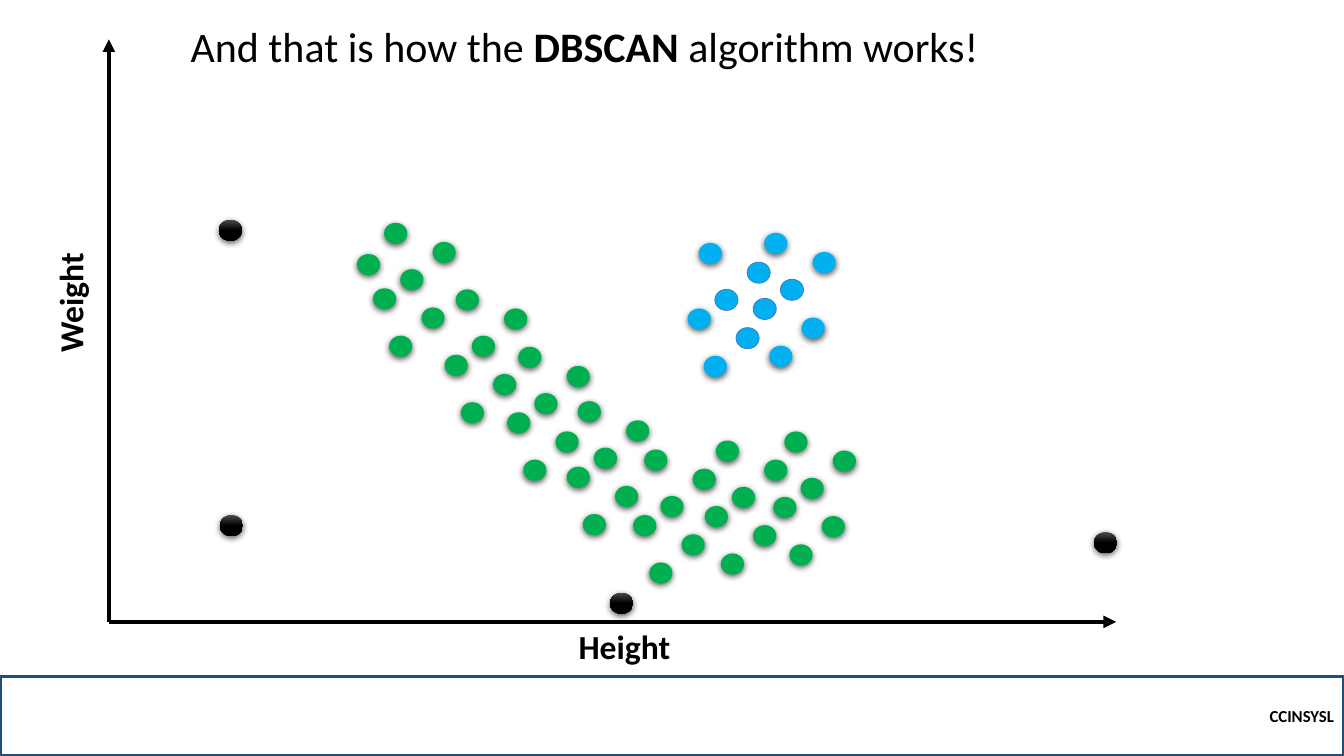
from lxml import etree
from pptx import Presentation
from pptx.dml.color import RGBColor
from pptx.enum.shapes import MSO_CONNECTOR, MSO_SHAPE
from pptx.enum.text import MSO_ANCHOR, MSO_AUTO_SIZE, PP_ALIGN
from pptx.oxml.ns import qn
from pptx.util import Emu, Pt

PX = 9144
LEFT, RIGHT = PP_ALIGN.LEFT, PP_ALIGN.RIGHT
TOP, MIDDLE = MSO_ANCHOR.TOP, MSO_ANCHOR.MIDDLE
FIT_TEXT = MSO_AUTO_SIZE.SHAPE_TO_FIT_TEXT
RECTANGLE, ELLIPSE = MSO_SHAPE.RECTANGLE, MSO_SHAPE.OVAL
STRAIGHT = MSO_CONNECTOR.STRAIGHT

BLACK = RGBColor(0x00, 0x00, 0x00)
GREY = RGBColor(0x4B, 0x4B, 0x4B)
GREEN = RGBColor(0x00, 0xB0, 0x50)
SKY = RGBColor(0x00, 0xB0, 0xF0)
OUTLINE = RGBColor(0x44, 0x72, 0xC4)
NAVY = RGBColor(0x1F, 0x4E, 0x79)

ORIGIN = (108, 617)
PATCH = [(0, 0), (16, 46), (48, 19), (-11, 65), (5, 112), (37, 84)]
GREEN_PATCHES = [(381, 221), (452, 287), (514, 344), (573, 398),
                 (639, 446), (710, 437), (778, 428)]
SKY_PATCHES = [(693, 241, {1, 2, 5}), (758, 231, {1, 3})]
NOISE = [(217, 218), (218, 511), (1085, 528), (605, 588)]


class ScatterSlide:
    """Holds the slide and draws its elements in one style, in px."""

    font = "Calibri"
    dot_size = (23, 21)

    def __init__(self, presentation):
        self.slide = presentation.slides.add_slide(presentation.slide_layouts[5])

    def scale(self, *lengths):
        return [Emu(length * PX) for length in lengths]

    def format_run(self, run, size, bold):
        run.font.name = self.font
        run.font.size = Pt(size)
        run.font.bold = bold
        run.font.color.rgb = BLACK

    def title(self, box, parts, size):
        shape = self.slide.shapes.title
        shape.left, shape.top, shape.width, shape.height = self.scale(*box)
        text_frame = shape.text_frame
        text_frame.word_wrap = True
        text_frame.auto_size = FIT_TEXT
        text_frame.vertical_anchor = TOP
        paragraph = text_frame.paragraphs[0]
        paragraph.alignment = LEFT
        for text, bold in parts:
            run = paragraph.add_run()
            run.text = text
            self.format_run(run, size, bold)

    def label(self, box, text, size, rotation=0):
        shape = self.slide.shapes.add_textbox(*self.scale(*box))
        shape.rotation = rotation
        text_frame = shape.text_frame
        text_frame.text = text
        text_frame.word_wrap = True
        text_frame.auto_size = FIT_TEXT
        self.format_run(text_frame.paragraphs[0].runs[0], size, True)

    def footer(self, box, text, size):
        shape = self.slide.shapes.add_shape(RECTANGLE, *self.scale(*box))
        shape.shadow.inherit = False
        shape.fill.background()
        shape.line.color.rgb = NAVY
        shape.line.width = Pt(2.25)
        text_frame = shape.text_frame
        text_frame.text = text
        text_frame.vertical_anchor = MIDDLE
        paragraph = text_frame.paragraphs[0]
        paragraph.alignment = RIGHT
        self.format_run(paragraph.runs[0], size, True)

    def axis(self, end):
        connector = self.slide.shapes.add_connector(
            STRAIGHT, *self.scale(*ORIGIN, *end))
        connector.line.color.rgb = BLACK
        connector.line.width = Pt(3)
        properties = connector._element.spPr
        etree.SubElement(properties.find(qn("a:ln")), qn("a:tailEnd"), type="triangle")
        etree.SubElement(properties, qn("a:effectLst"))

    def dot(self, left, top, color=None, outlined=False):
        shape = self.slide.shapes.add_shape(
            ELLIPSE, *self.scale(left, top, *self.dot_size))
        shape.shadow.inherit = False
        if color is None:
            self.shade(shape.fill)
        else:
            shape.fill.solid()
            shape.fill.fore_color.rgb = color
        if outlined:
            shape.line.color.rgb = OUTLINE
            shape.line.width = Pt(0.5)
        else:
            shape.line.fill.background()
            self.drop_shadow(shape)

    def shade(self, fill):
        fill.gradient()
        fill.gradient_angle = 270
        for stop, color, position in zip(fill.gradient_stops, (GREY, BLACK), (0, 0.5)):
            stop.color.rgb = color
            stop.position = position

    def drop_shadow(self, shape):
        effects = shape._element.spPr.find(qn("a:effectLst"))
        shadow = etree.SubElement(
            effects, qn("a:outerShdw"), blurRad=str(Pt(4.5)), dist=str(Pt(1.5)),
            dir="5400000", algn="ctr", rotWithShape="0")
        color = etree.SubElement(shadow, qn("a:srgbClr"), val=str(BLACK))
        etree.SubElement(color, qn("a:alpha"), val="63000")

    def patch(self, left, top, color, outlined=()):
        for index, (across, down) in enumerate(PATCH):
            self.dot(left + across, top + down, color, index in outlined)


def main():
    presentation = Presentation()
    presentation.slide_width = Emu(1333 * PX)
    presentation.slide_height = Emu(750 * PX)
    scatter = ScatterSlide(presentation)

    scatter.title((179, 15, 928, 61), [("And that is how the ", False),
                                       ("DBSCAN ", True),
                                       ("algorithm works!", False)], 30)
    scatter.footer((0, 671, 1333, 79), "CCINSYSL", 12)
    scatter.axis((1107, 617))
    scatter.axis((108, 39))

    for left, top in GREEN_PATCHES:
        scatter.patch(left, top, GREEN)
    scatter.dot(354, 252, GREEN)
    for left, top, outlined in SKY_PATCHES:
        scatter.patch(left, top, SKY, outlined)
    for left, top in NOISE:
        scatter.dot(left, top)

    scatter.label((564, 616, 117, 50), "Height", 24)
    scatter.label((10, 275, 119, 50), "Weight", 24, rotation=270)
    presentation.save("out.pptx")


if __name__ == "__main__":
    main()
